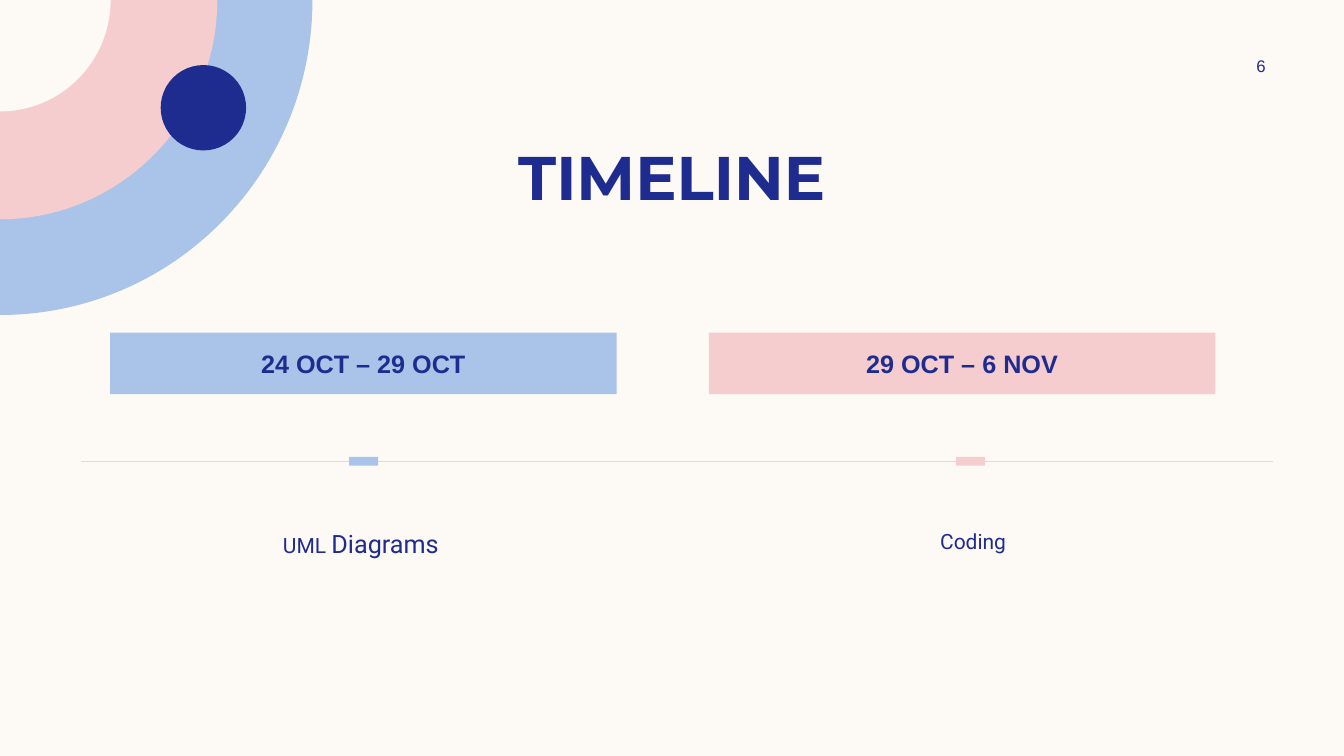
from lxml import etree
from pptx import Presentation
from pptx.dml.color import RGBColor
from pptx.enum import shapes, text
from pptx.oxml.ns import qn
from pptx.util import Pt

CREAM, NAVY, BLUE, PINK, GREY = "FDFAF6", "1F2C8F", "AAC3E8", "F5CDCE", "DCDCDA"
AXIS_Y = 329.5
ARC = 0.5523  # handle length of a quarter circle with radius 1


def color(hex_string):
    return RGBColor.from_string(hex_string)


def paint(shape, fill):
    shape.shadow.inherit = False
    shape.fill.solid()
    shape.fill.fore_color.rgb = color(fill)
    shape.line.fill.background()


def add_block(slide, kind, box, fill):
    shape = slide.shapes.add_shape(kind, *map(Pt, box))
    paint(shape, fill)
    return shape


def write(shape, runs, font="Arial", bold=False, anchor=text.MSO_ANCHOR.TOP, insets=(0, 0)):
    """Fill a shape with one centred line of (text, size) runs."""
    frame = shape.text_frame
    frame.word_wrap = True
    frame.vertical_anchor = anchor
    frame.margin_left = frame.margin_right = Pt(insets[0])
    frame.margin_top = frame.margin_bottom = Pt(insets[1])
    paragraph = frame.paragraphs[0]
    paragraph.alignment = text.PP_ALIGN.CENTER
    for words, size in runs:
        run = paragraph.add_run()
        run.text = words
        run.font.name = font
        run.font.size = Pt(size)
        run.font.bold = bold
        run.font.color.rgb = color(NAVY)


def add_text(slide, box, runs, **style):
    write(slide.shapes.add_textbox(*map(Pt, box)), runs, **style)


def add_quarter_disc(slide, corner, width, height, fill):
    """Draw the outline with its handles as corners, then join them into one curve."""
    left, top = corner
    outline = ((1, 0), (1, ARC), (ARC, 1), (0, 1))
    builder = slide.shapes.build_freeform(Pt(left), Pt(top))
    builder.add_line_segments(
        [(Pt(left + width * x), Pt(top + height * y)) for x, y in outline], close=True)
    shape = builder.convert_to_shape()
    paint(shape, fill)
    handles = list(shape._element.iter(qn("a:lnTo")))[1:4]
    curve = etree.Element(qn("a:cubicBezTo"))
    handles[0].addprevious(curve)
    for handle in handles:
        curve.append(handle[0])
        handle.getparent().remove(handle)


def add_corner(slide, left, top):
    for width, height, fill in ((223.2, 225, BLUE), (155.2, 156.6, PINK), (79, 79.6, CREAM)):
        add_quarter_disc(slide, (left, top), width, height, fill)
    add_block(slide, shapes.MSO_SHAPE.OVAL, (left + 114.8, top + 46.5, 61, 61), NAVY)


def add_axis(slide, left, right, y):
    line = slide.shapes.add_connector(
        shapes.MSO_CONNECTOR.STRAIGHT, Pt(left), Pt(y), Pt(right), Pt(y))
    line.line.color.rgb = color(GREY)
    line.line.width = Pt(0.5)
    etree.SubElement(line._element.spPr, qn("a:effectLst"))


def add_milestone(slide, left, marker_center, caption_center, dates, caption, fill):
    """Place a date banner, its marker on the axis and the caption below."""
    rectangle = shapes.MSO_SHAPE.RECTANGLE
    banner = add_block(slide, rectangle, (left, AXIS_Y - 91.9, 361.8, 43.9), fill)
    write(banner, [(dates, 18)], bold=True, anchor=text.MSO_ANCHOR.MIDDLE)
    add_block(slide, rectangle, (marker_center - 10.4, AXIS_Y - 3.2, 20.8, 6.4), fill)
    add_text(slide, (caption_center - 78.5, AXIS_Y + 44.2, 157, 62.6), caption,
             font="Roboto", insets=(0, 3.6))


def build_timeline(slide):
    slide.background.fill.solid()
    slide.background.fill.fore_color.rgb = color(CREAM)
    add_corner(slide, 0, 0)
    add_axis(slide, 58, 909.4, AXIS_Y)
    add_text(slide, (59.8, 95.8, 840.2, 60.5), [("TIMELINE", 44)],
             font="Montserrat", bold=True, insets=(7.2, 3.6))
    add_text(slide, (861.8, 36, 77.8, 21.6), [("6", 12)],
             anchor=text.MSO_ANCHOR.MIDDLE, insets=(7.2, 3.6))
    add_milestone(slide, 78.6, 259.8, 257.8, "24 OCT – 29 OCT",
                  [("UML ", 15), ("Diagrams", 18)], BLUE)
    add_milestone(slide, 506.3, 693.2, 695.1, "29 OCT – 6 NOV", [("Coding", 15)], PINK)


def main():
    presentation = Presentation()
    presentation.slide_width, presentation.slide_height = Pt(960), Pt(540)
    build_timeline(presentation.slides.add_slide(presentation.slide_layouts[6]))
    presentation.save("out.pptx")


if __name__ == "__main__":
    main()
